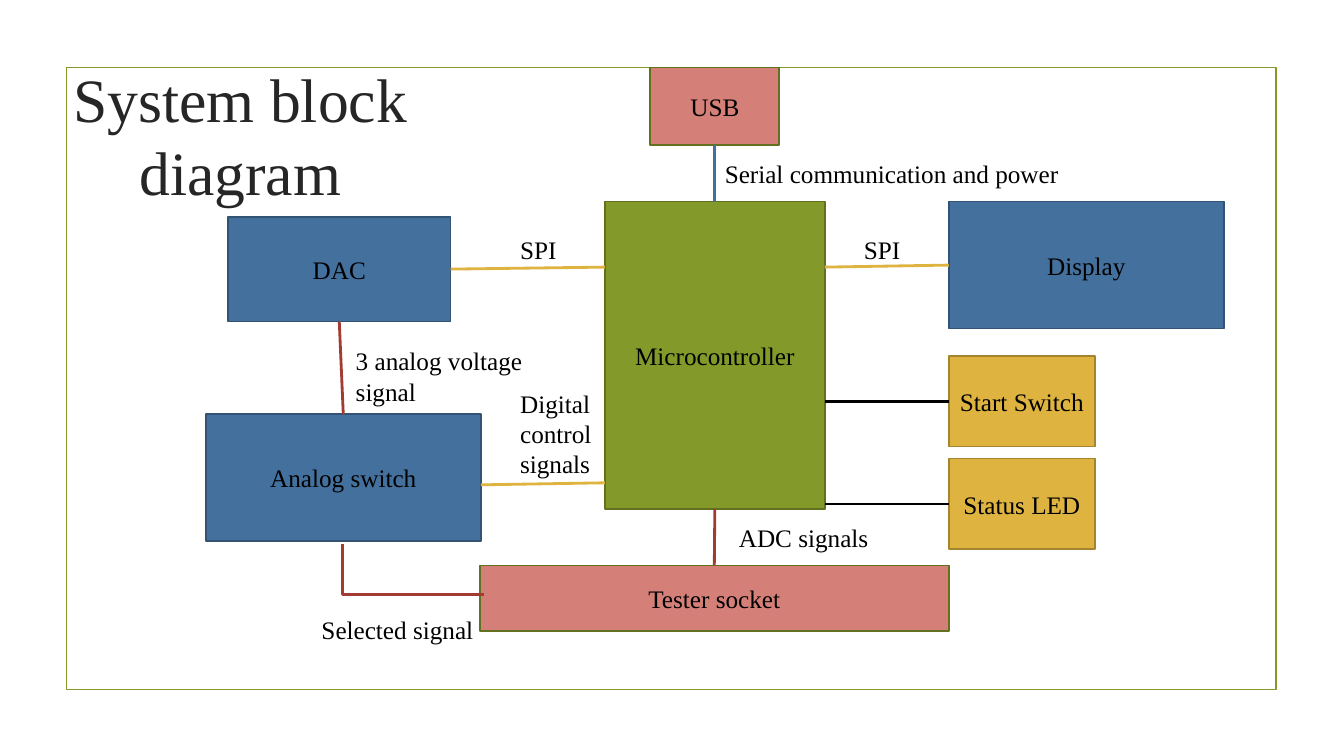
from lxml.etree import SubElement
from pptx import Presentation
from pptx.dml.color import RGBColor
from pptx.enum.shapes import MSO_CONNECTOR, MSO_SHAPE
from pptx.enum.text import MSO_ANCHOR, MSO_AUTO_SIZE, PP_ALIGN
from pptx.oxml.ns import qn
from pptx.util import Inches, Pt

COLUMNS, ROWS, CELL = 133.3, 75, Inches(0.1)
FONT = "Times New Roman"
COLORS = {
    "green": "83992A", "green edge": "61711F", "rose": "D47F77",
    "blue": "44709D", "blue edge": "325374", "gold": "DEB340",
    "gold edge": "A4842F", "red": "A23C33", "black": "000000", "title": "262626",
}
TOP, LEFT, BOTTOM, RIGHT = range(4)

TITLE = ("System block diagram", (3.5, 5.5, 40.7, 15))
FRAME = (6.6, 6.7, 120, 61.7)
BLOCKS = {
    "Microcontroller": ((60, 20, 21.8, 30.5), "green", "green edge"),
    "USB": ((64.5, 6.7, 12.8, 7.7), "rose", "green edge"),
    "Tester socket": ((47.6, 56.1, 46.5, 6.5), "rose", "green edge"),
    "Display": ((94.1, 20, 27.3, 12.6), "blue", "blue edge"),
    "Start Switch": ((94.1, 35.3, 14.5, 9), "gold", "gold edge"),
    "Status LED": ((94.1, 45.5, 14.5, 9), "gold", "gold edge"),
    "DAC": ((22.6, 21.5, 22.1, 10.4), "blue", "blue edge"),
    "Analog switch": ((20.4, 41.1, 27.3, 12.6), "blue", "blue edge"),
}
LINKS = [
    (("USB", BOTTOM), ("Microcontroller", TOP), "blue"),
    (("Tester socket", TOP), ("Microcontroller", BOTTOM), "red"),
    (("Display", LEFT), (81.8, 26.5), "gold"),
    (("Start Switch", LEFT), (81.8, 39.8), "black"),
    (("Status LED", LEFT), (81.8, 50), "black"),
    (("DAC", RIGHT), (60, 26.5), "gold"),
    ((47.7, 48.1), (60, 47.9), "gold"),
    (("DAC", BOTTOM), ("Analog switch", TOP), "red"),
]
SELECTED_ROUTE = [(34, 53.7), (34, 59.4), (47.6, 59.4)]
LABELS = [
    ("Serial communication and power", (70.9, 15.2, 43.2, 4)),
    ("ADC signals", (72.3, 51.3, 30, 4)),
    ("SPI", (84.7, 22.8, 6.5, 4)),
    ("SPI", (50.6, 22.8, 6.5, 4)),
    ("Digital control signals", (50.6, 38, 14.5, 10.1)),
    ("3 analog voltage signal", (34.3, 33.8, 22.7, 7.1)),
    ("Selected signal", (30.9, 60.5, 19.8, 4)),
]


def cells(values):
    return [round(value * CELL) for value in values]


def color(name):
    return RGBColor.from_string(COLORS[name])


def outline(shape, name, width):
    shape.line.color.rgb = color(name)
    shape.line.width = Pt(width)


def write(shape, text, size=18, ink="black", align=PP_ALIGN.LEFT, anchor=MSO_ANCHOR.TOP):
    frame = shape.text_frame
    frame.text = text
    frame.word_wrap = True
    frame.auto_size = MSO_AUTO_SIZE.NONE
    frame.vertical_anchor = anchor
    para = frame.paragraphs[0]
    para.alignment = align
    font = para.runs[0].font
    font.name, font.size, font.color.rgb = FONT, Pt(size), color(ink)


def add_box(page, bounds, edge, fill=None):
    box = page.shapes.add_shape(MSO_SHAPE.RECTANGLE, *cells(bounds))
    box.shadow.inherit = False
    if fill:
        box.fill.solid()
        box.fill.fore_color.rgb = color(fill)
    else:
        box.fill.background()
    outline(box, edge, 1.25)
    return box


def add_link(page, boxes, start, end, ink):
    points = [(0, 0) if end_point[0] in boxes else end_point for end_point in (start, end)]
    link = page.shapes.add_connector(MSO_CONNECTOR.STRAIGHT, *cells(points[0] + points[1]))
    for join, (name, site) in ((link.begin_connect, start), (link.end_connect, end)):
        if name in boxes:
            join(boxes[name], site)
    outline(link, ink, 2)
    SubElement(link._element.spPr, qn("a:effectLst"))


def add_route(page, points, ink):
    builder = page.shapes.build_freeform(*points[0], scale=CELL)
    builder.add_line_segments(points[1:], close=False)
    route = builder.convert_to_shape()
    route.shadow.inherit = False
    route.fill.background()
    outline(route, ink, 2)


def main():
    deck = Presentation()
    deck.slide_width, deck.slide_height = cells((COLUMNS, ROWS))
    page = deck.slides.add_slide(deck.slide_layouts[5])
    title = page.shapes.title
    title.left, title.top, title.width, title.height = cells(TITLE[1])
    write(title, TITLE[0], 44, "title", PP_ALIGN.CENTER)

    add_box(page, FRAME, "green")
    boxes = {}
    for name, (bounds, fill, edge) in BLOCKS.items():
        boxes[name] = add_box(page, bounds, edge, fill)
        write(boxes[name], name, align=PP_ALIGN.CENTER, anchor=MSO_ANCHOR.MIDDLE)
    for start, end, ink in LINKS:
        add_link(page, boxes, start, end, ink)
    add_route(page, SELECTED_ROUTE, "red")
    for text, bounds in LABELS:
        write(page.shapes.add_textbox(*cells(bounds)), text)
    deck.save("out.pptx")


if __name__ == "__main__":
    main()
